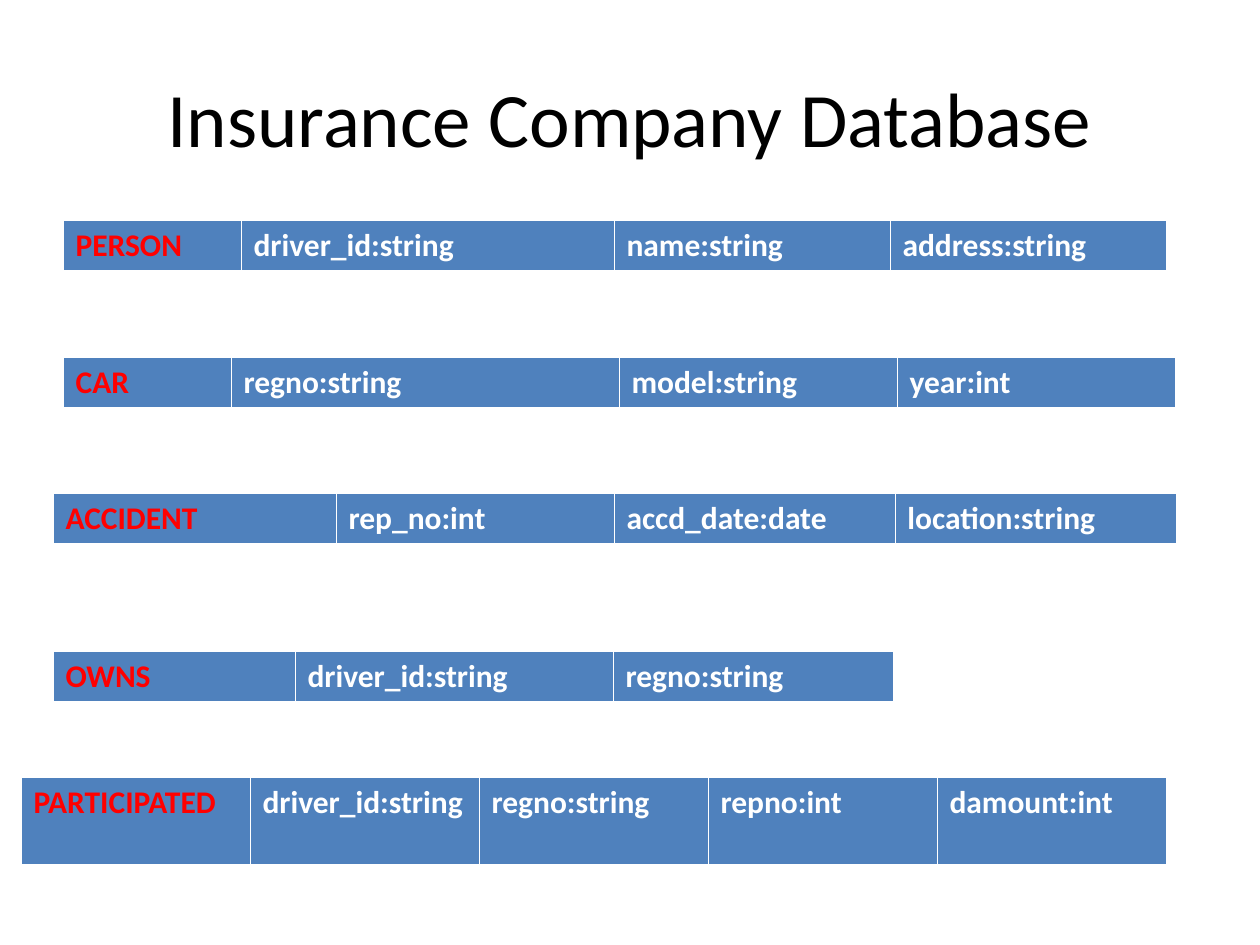
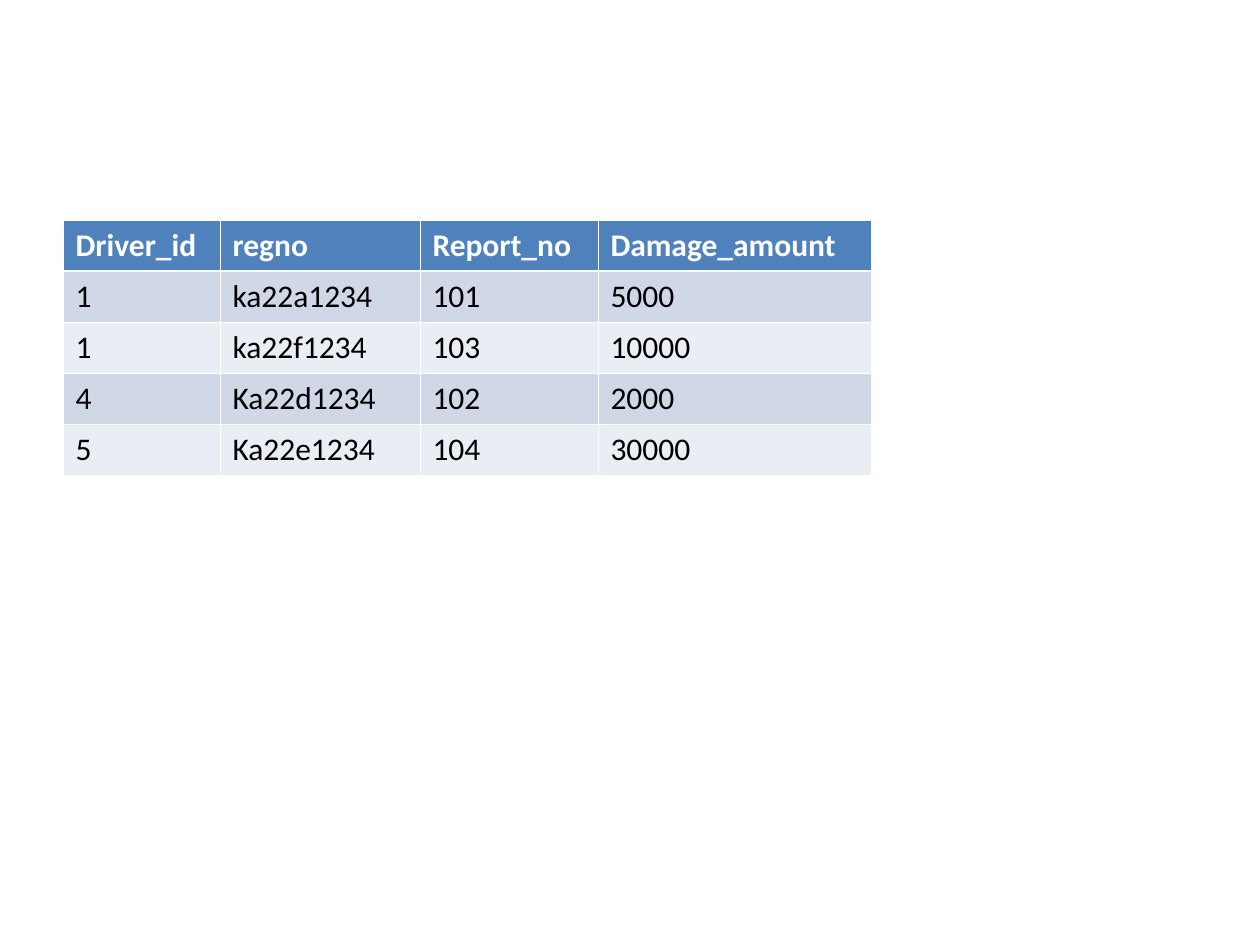
from lxml import etree
from pptx import Presentation
from pptx.dml.color import RGBColor
from pptx.enum.text import MSO_ANCHOR, PP_ALIGN
from pptx.oxml.ns import qn
from pptx.util import Emu, Pt

MIDDLE = MSO_ANCHOR.MIDDLE
CENTER = PP_ALIGN.CENTER

FONT = "Calibri"
WHITE, BLACK, RED = "FFFFFF", "000000", "FF0000"
BLUE = "4F81BD"
BANDS = ("D0D8E8", "E9EDF4")
THIN, THICK = 0.45, 1.47
ROW = 51

# left, top, row height, column widths, names
SCHEMAS = [
    (63, 220, ROW, (178, 373, 276, 276),
     ("PERSON", "driver_id:string", "name:string", "address:string")),
    (63, 357, ROW, (168, 388, 278, 278),
     ("CAR", "regno:string", "model:string", "year:int")),
    (53, 493, ROW, (283, 278, 281, 281),
     ("ACCIDENT", "rep_no:int", "accd_date:date", "location:string")),
    (53, 651, ROW, (242, 318, 280),
     ("OWNS", "driver_id:string", "regno:string")),
    (21, 777, 88, (229,) * 5,
     ("PARTICIPATED", "driver_id:string", "regno:string", "repno:int",
      "damount:int")),
]

DAMAGE = [
    ("Driver_id", "regno", "Report_no", "Damage_amount"),
    ("1", "ka22a1234", "101", "5000"),
    ("1", "ka22f1234", "103", "10000"),
    ("4", "Ka22d1234", "102", "2000"),
    ("5", "Ka22e1234", "104", "30000"),
]


def px(n):
    return Emu(round(n * 914400 / 126))


def color(code):
    return RGBColor.from_string(code)


def add_run(para, text, size, ink, bold=False):
    run = para.add_run()
    run.text = text
    font = run.font
    font.name, font.size, font.bold = FONT, Pt(size), bold
    font.color.rgb = color(ink)


def add_title(slide, text, left, top, width, height):
    box = slide.shapes.add_textbox(px(left), px(top), px(width), px(height))
    frame = box.text_frame
    frame.word_wrap = True
    frame.vertical_anchor = MIDDLE
    para = frame.paragraphs[0]
    para.alignment = CENTER
    add_run(para, text, 44, BLACK)


def set_edges(cell, top, bottom):
    """Draw white cell borders; top and bottom are widths in points."""
    props = cell._tc.get_or_add_tcPr()
    for side, width in zip("LRTB", (THIN, THIN, top, bottom)):
        line = etree.SubElement(props, qn(f"a:ln{side}"), w=str(Pt(width)))
        fill = etree.SubElement(line, qn("a:solidFill"))
        etree.SubElement(fill, qn("a:srgbClr"), val=WHITE)


def add_grid(slide, left, top, height, widths, rows, first=WHITE):
    """Add a table with a blue head row; first colours its first name."""
    frame = slide.shapes.add_table(
        len(rows), len(widths), px(left), px(top),
        px(sum(widths)), px(height * len(rows)))
    table = frame.table
    table.first_row = table.horz_banding = False
    for col, width in zip(table.columns, widths):
        col.width = px(width)
    for r, row in enumerate(rows):
        table.rows[r].height = px(height)
        head = r == 0
        back = BLUE if head else BANDS[(r - 1) % 2]
        for c, text in enumerate(row):
            cell = table.cell(r, c)
            set_edges(cell, THICK if r == 1 else THIN, THICK if head else THIN)
            cell.fill.solid()
            cell.fill.fore_color.rgb = color(back)
            ink = (first if c == 0 else WHITE) if head else BLACK
            add_run(cell.text_frame.paragraphs[0], text, 18, ink, head)


def schema_slide(slide):
    add_title(slide, "Insurance Company Database", 63, 38, 1134, 157)
    for left, top, height, widths, names in SCHEMAS:
        add_grid(slide, left, top, height, widths, [names], RED)


def damage_slide(slide):
    add_grid(slide, 63, 220, ROW, (157, 200, 178, 273), DAMAGE)


def main():
    deck = Presentation()
    deck.slide_width, deck.slide_height = px(1260), px(945)
    blank = deck.slide_layouts[6]
    for build in (schema_slide, damage_slide):
        build(deck.slides.add_slide(blank))
    deck.save("out.pptx")


if __name__ == "__main__":
    main()
